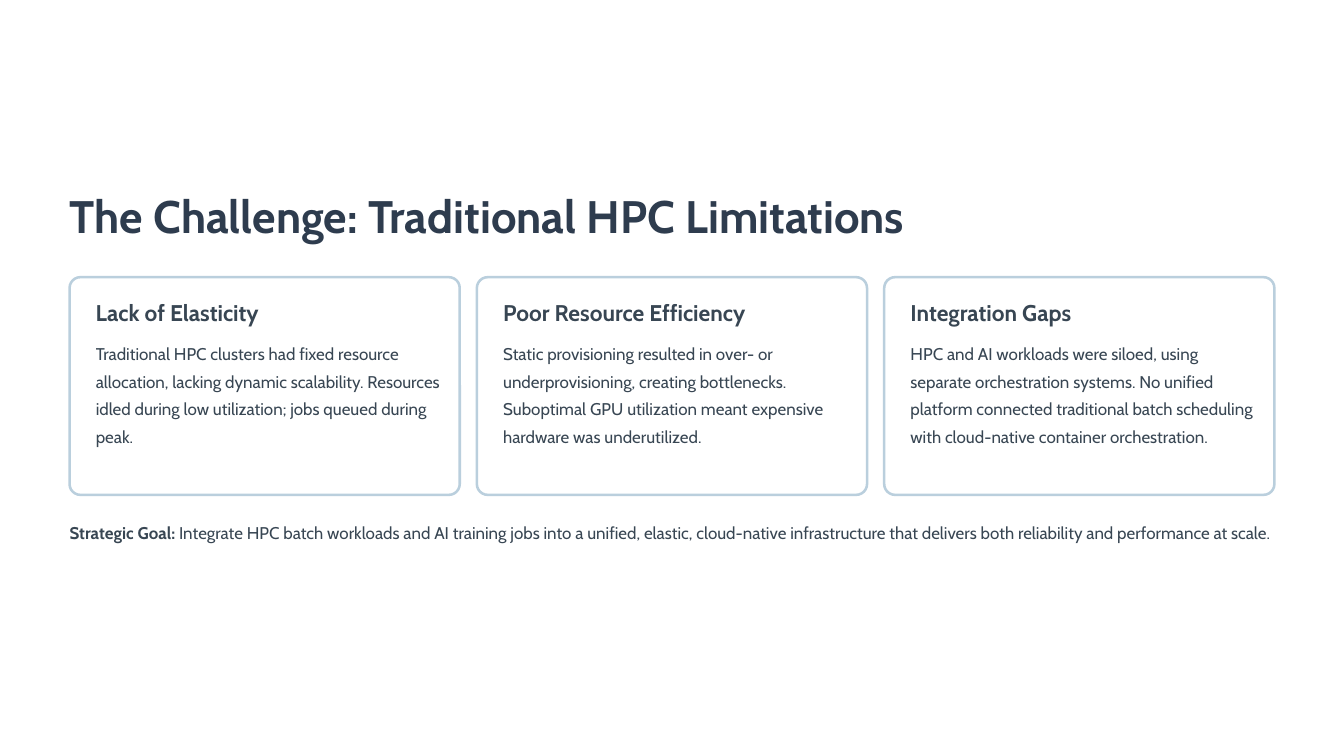
"""Build the slide on the limits of traditional HPC."""
from pptx import Presentation
from pptx.dml.color import RGBColor
from pptx.enum.shapes import MSO_SHAPE as Shape
from pptx.enum.text import MSO_ANCHOR as Anchor, MSO_AUTO_SIZE as Fit, PP_ALIGN as Align
from pptx.util import Pt

TITLE = "The Challenge: Traditional HPC Limitations"
CARDS = [
    ("Lack of Elasticity",
     "Traditional HPC clusters had fixed resource allocation, lacking dynamic "
     "scalability. Resources idled during low utilization; jobs queued during peak."),
    ("Poor Resource Efficiency",
     "Static provisioning resulted in over- or underprovisioning, creating bottlenecks. "
     "Suboptimal GPU utilization meant expensive hardware was underutilized."),
    ("Integration Gaps",
     "HPC and AI workloads were siloed, using separate orchestration systems. "
     "No unified platform connected traditional batch scheduling with cloud-native "
     "container orchestration."),
]
GOAL = [
    ("Strategic Goal:", True),
    (" Integrate HPC batch workloads and AI training jobs into a unified, elastic, "
     "cloud-native infrastructure that delivers both reliability and performance "
     "at scale.", False),
]
COLORS = {"paper": "FFFFFF", "title": "2E3C4E", "text": "384653", "edge": "BACFDD"}
FONT = "Cabin"
PX = 9144
LEFT, TOP, WIDE, HIGH = 69, 275, 387, 216
STEP, PAD = 404, 26


def color(name):
    return RGBColor.from_string(COLORS[name])


def place(shape, left, top, width, height):
    shape.left, shape.top = left * PX, top * PX
    shape.width, shape.height = width * PX, height * PX


def write(shape, runs, size, lead, ink="text", wrap=True):
    frame = shape.text_frame
    frame.margin_left = frame.margin_right = 0
    frame.margin_top = frame.margin_bottom = 0
    frame.auto_size = Fit.NONE
    frame.word_wrap = wrap
    frame.vertical_anchor = Anchor.TOP
    para = frame.paragraphs[0]
    para.alignment = Align.LEFT
    para.line_spacing = Pt(lead)
    para.space_before = Pt(0)
    font = para.font
    font.name, font.size = FONT, Pt(size)
    font.color.rgb = color(ink)
    for words, bold in runs:
        run = para.add_run()
        run.text = words
        run.font.bold = bold


def add_text(slide, box, *args, **opts):
    write(slide.shapes.add_textbox(*(n * PX for n in box)), *args, **opts)


def add_card(slide, left, head, body):
    card = slide.shapes.add_shape(
        Shape.ROUNDED_RECTANGLE, left * PX, TOP * PX, WIDE * PX, HIGH * PX)
    card.adjustments[0] = 0.05
    card.shadow.inherit = False
    card.fill.solid()
    card.fill.fore_color.rgb = color("paper")
    card.line.color.rgb = color("edge")
    card.line.width = Pt(1.8)
    inner = left + PAD
    add_text(slide, (inner, 295, 254, 28), [(head, True)], 16.2, 20.4, wrap=False)
    add_text(slide, (inner, 334, 342, 138), [(body, False)], 12.1, 19.6)


def main():
    deck = Presentation()
    deck.slide_width, deck.slide_height = 1333 * PX, 750 * PX
    slide = deck.slides.add_slide(deck.slide_layouts[5])
    slide.background.fill.solid()
    slide.background.fill.fore_color.rgb = color("paper")
    title = slide.shapes.title
    place(title, LEFT, 184, 857, 57)
    write(title, [(TITLE, True)], 32.5, 40.8, ink="title", wrap=False)
    for i, (head, body) in enumerate(CARDS):
        add_card(slide, LEFT + i * STEP, head, body)
    add_text(slide, (LEFT, 511, 1195, 55), GOAL, 12.1, 19.6)
    deck.save("out.pptx")


if __name__ == "__main__":
    main()
